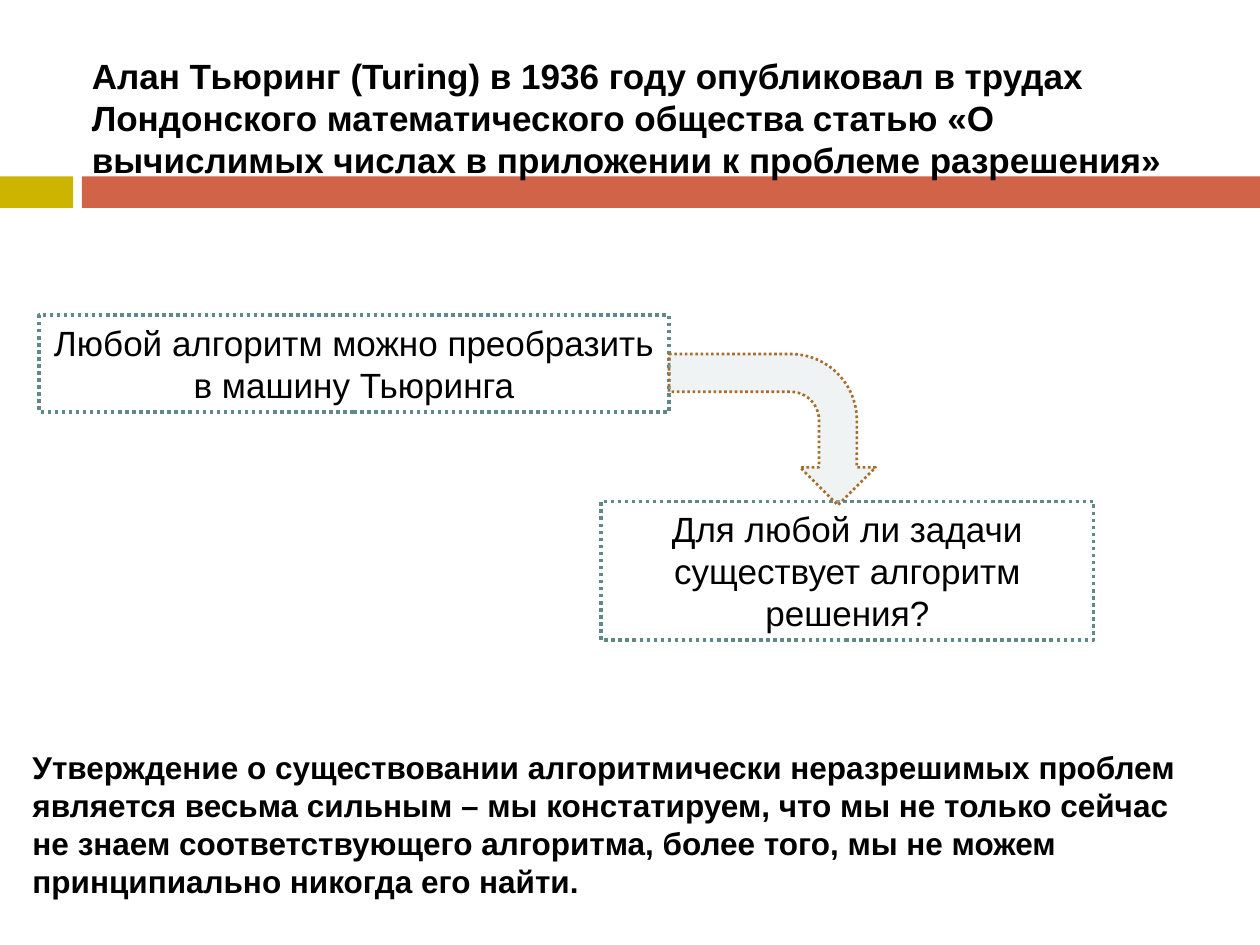
from dataclasses import dataclass

from lxml.etree import SubElement
from pptx import Presentation
from pptx.dml.color import RGBColor
from pptx.enum.dml import MSO_LINE
from pptx.enum.shapes import MSO_SHAPE
from pptx.enum.text import MSO_ANCHOR, PP_ALIGN
from pptx.oxml.ns import qn
from pptx.shapes.autoshape import Shape
from pptx.slide import Slide
from pptx.util import Inches, Pt


@dataclass
class Area:
    left: float
    top: float
    width: float
    height: float


@dataclass
class Band:
    area: Area
    fill: str


@dataclass
class Label:
    text: str
    area: Area
    size: int = 20
    bold: bool = False


BANDS = [
    Band(Area(0, 1.4, 0.58, 0.25), "CCB400"),
    Band(Area(0.65, 1.4, 9.35, 0.25), "D16349"),
]
STATEMENTS = [
    Label("Для любой ли задачи существует алгоритм решения?", Area(4.77, 3.98, 3.91, 1.1)),
    Label("Любой алгоритм можно преобразить в машину Тьюринга", Area(0.31, 2.5, 5, 0.77)),
]
TITLE = Label(
    "Алан Тьюринг (Turing) в 1936 году опубликовал в трудах Лондонского "
    "математического общества статью «О вычислимых числах в приложении "
    "к проблеме разрешения»",
    Area(0.63, 0.38, 8.92, 1.1),
    bold=True,
)
CONCLUSION = Label(
    "Утверждение о существовании алгоритмически неразрешимых проблем "
    "является весьма сильным – мы констатируем, что мы не только сейчас "
    "не знаем соответствующего алгоритма, более того, мы не можем "
    "принципиально никогда его найти.",
    Area(0.16, 5.89, 9.53, 1.31),
    size=18,
    bold=True,
)


def color(value: str) -> RGBColor:
    return RGBColor.from_string(value)


def lengths(area: Area) -> list[int]:
    return [Inches(side) for side in (area.left, area.top, area.width, area.height)]


def add_form(page: Slide, kind: MSO_SHAPE, area: Area) -> Shape:
    form = page.shapes.add_shape(kind, *lengths(area))
    form.shadow.inherit = False
    return form


def fill_form(form: Shape, fill: str) -> None:
    form.fill.solid()
    form.fill.fore_color.rgb = color(fill)


def dot_outline(form: Shape, line: str, width: float) -> None:
    form.line.color.rgb = color(line)
    form.line.width = Pt(width)
    form.line.dash_style = MSO_LINE.ROUND_DOT


def write(box: Shape, label: Label, align: PP_ALIGN) -> None:
    frame = box.text_frame
    frame.word_wrap = True
    frame.vertical_anchor = MSO_ANCHOR.TOP
    frame.text = label.text
    para = frame.paragraphs[0]
    para.alignment = align
    for span in para.runs:
        span.font.name = "Arial"
        span.font.size = Pt(label.size)
        span.font.bold = label.bold
        span.font.color.rgb = color("000000")


def add_band(page: Slide, band: Band) -> None:
    form = add_form(page, MSO_SHAPE.RECTANGLE, band.area)
    fill_form(form, band.fill)
    form.line.fill.background()


def add_statement(page: Slide, label: Label) -> None:
    form = add_form(page, MSO_SHAPE.RECTANGLE, label.area)
    form.fill.background()
    dot_outline(form, "61898A", 2)
    write(form, label, PP_ALIGN.CENTER)


def add_text(page: Slide, label: Label) -> None:
    write(page.shapes.add_textbox(*lengths(label.area)), label, PP_ALIGN.LEFT)


def add_bent_arrow(page: Slide, area: Area) -> None:
    arrow = add_form(page, MSO_SHAPE.BENT_ARROW, area)
    arrow.rotation = 90
    fill_form(arrow, "D1DEDF")
    tint = arrow.fill._xPr.find(qn("a:solidFill"))[0]
    SubElement(tint, qn("a:alpha"), val="34000")
    dot_outline(arrow, "A96D2B", 1.5)


def main() -> None:
    deck = Presentation()
    deck.slide_width, deck.slide_height = Inches(10), Inches(7.5)
    page = deck.slides.add_slide(deck.slide_layouts[6])
    for band in BANDS:
        add_band(page, band)
    add_text(page, TITLE)
    for statement in STATEMENTS:
        add_statement(page, statement)
    add_bent_arrow(page, Area(5.53, 2.59, 1.2, 1.64))
    add_text(page, CONCLUSION)
    deck.save("out.pptx")


if __name__ == "__main__":
    main()
